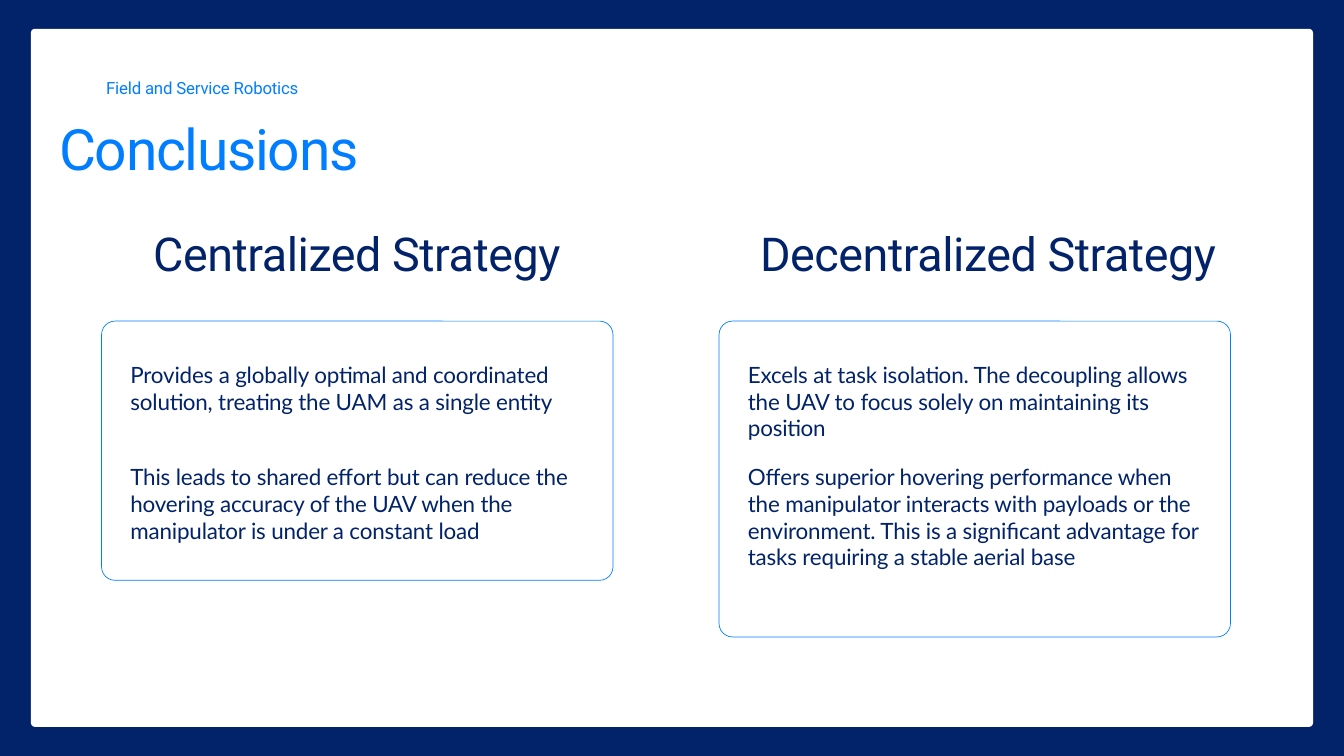
from pptx import Presentation
from pptx.dml.color import RGBColor
from pptx.enum.shapes import MSO_SHAPE
from pptx.enum.text import MSO_ANCHOR, MSO_AUTO_SIZE, PP_ALIGN
from pptx.util import Cm, Pt

NAVY = RGBColor(0x02, 0x23, 0x69)
BLUE = RGBColor(0x01, 0x7E, 0xFF)
WHITE = RGBColor(0xFF, 0xFF, 0xFF)
ROUNDED = MSO_SHAPE.ROUNDED_RECTANGLE
LEFT, RIGHT = PP_ALIGN.LEFT, PP_ALIGN.RIGHT
TOP = MSO_ANCHOR.TOP
NO_AUTOFIT = MSO_AUTO_SIZE.NONE

TITLE_ONLY = 5
CARD_TOP, CARD_WIDTH = 12.14, 19.33
POINT_INSET = 1.09

# card left, card height, heading offset, heading width, heading, points
STRATEGIES = [
    (3.84, 9.8, 1.95, 16.92, "Centralized Strategy", [
        "Provides a globally optimal and coordinated solution, treating the "
        "UAM as a single entity",
        "This leads to shared effort but can reduce the hovering accuracy of "
        "the UAV when the manipulator is under a constant load",
    ]),
    (27.18, 11.94, 1.55, 18.69, "Decentralized Strategy", [
        "Excels at task isolation. The decoupling allows the UAV to focus "
        "solely on maintaining its position",
        "Offers superior hovering performance when the manipulator interacts "
        "with payloads or the environment. This is a significant advantage "
        "for tasks requiring a stable aerial base",
    ]),
]


def write(sp, text, font, size, color, leading, tracking, align=LEFT):
    tf = sp.text_frame
    tf.word_wrap = True
    tf.auto_size = NO_AUTOFIT
    tf.vertical_anchor = TOP
    tf.margin_left = tf.margin_top = tf.margin_right = tf.margin_bottom = 0
    p = tf.paragraphs[0]
    p.alignment = align
    p.line_spacing = Pt(leading)
    p.space_before = Pt(0)
    p.font.name, p.font.size, p.font.color.rgb = font, Pt(size), color
    r = p.add_run()
    r.text = text
    # Letter spacing, in hundredths of a point
    r._r.get_or_add_rPr().set("spc", str(tracking))


def add_text(s, left, top, width, height, *args):
    sp = s.shapes.add_textbox(Cm(left), Cm(top), Cm(width), Cm(height))
    write(sp, *args)


def add_panel(s, left, top, width, height, radius, line=None):
    sp = s.shapes.add_shape(ROUNDED, Cm(left), Cm(top), Cm(width), Cm(height))
    sp.adjustments[0] = radius / min(width, height)
    sp.shadow.inherit = False
    sp.fill.solid()
    sp.fill.fore_color.rgb = WHITE
    if line is None:
        sp.line.fill.background()
    else:
        sp.line.color.rgb = line
        sp.line.width = Pt(0.75)
    return sp


def add_header(s, left, top):
    add_text(s, left + 0.66, top, 8.38, 0.86, "Field and Service Robotics",
             "Roboto", 18, BLUE, 25.2, -20, RIGHT)
    title = s.shapes.title
    title.left, title.top = Cm(left), Cm(top + 2.18)
    title.width, title.height = Cm(12.01), Cm(2.06)
    write(title, "Conclusions", "Roboto", 61, BLUE, 53.1, -140)


def add_strategy(s, left, height, heading_dx, heading_width, heading, points):
    add_text(s, left + heading_dx, CARD_TOP - 3.99, heading_width, 2.36,
             heading, "Roboto", 50, NAVY, 70, -50)
    add_panel(s, left, CARD_TOP, CARD_WIDTH, height, 0.51, BLUE)
    for i, point in enumerate(points):
        add_text(s, left + POINT_INSET, CARD_TOP + 1.5 + i * 3.86,
                 CARD_WIDTH - 2 * POINT_INSET, 3 + 2 * i,
                 point, "Lato", 24, NAVY, 28.8, -20)


def main():
    prs = Presentation()
    prs.slide_width, prs.slide_height = Cm(50.8), Cm(28.58)
    s = prs.slides.add_slide(prs.slide_layouts[TITLE_ONLY])
    s.background.fill.solid()
    s.background.fill.fore_color.rgb = NAVY

    # White page, placed behind the title
    page = add_panel(s, 1.17, 1.09, 48.46, 26.39, 0.15)
    s.shapes.title._element.addprevious(page._element)

    add_header(s, 2.24, 2.82)
    for strategy in STRATEGIES:
        add_strategy(s, *strategy)
    prs.save("out.pptx")


if __name__ == "__main__":
    main()
